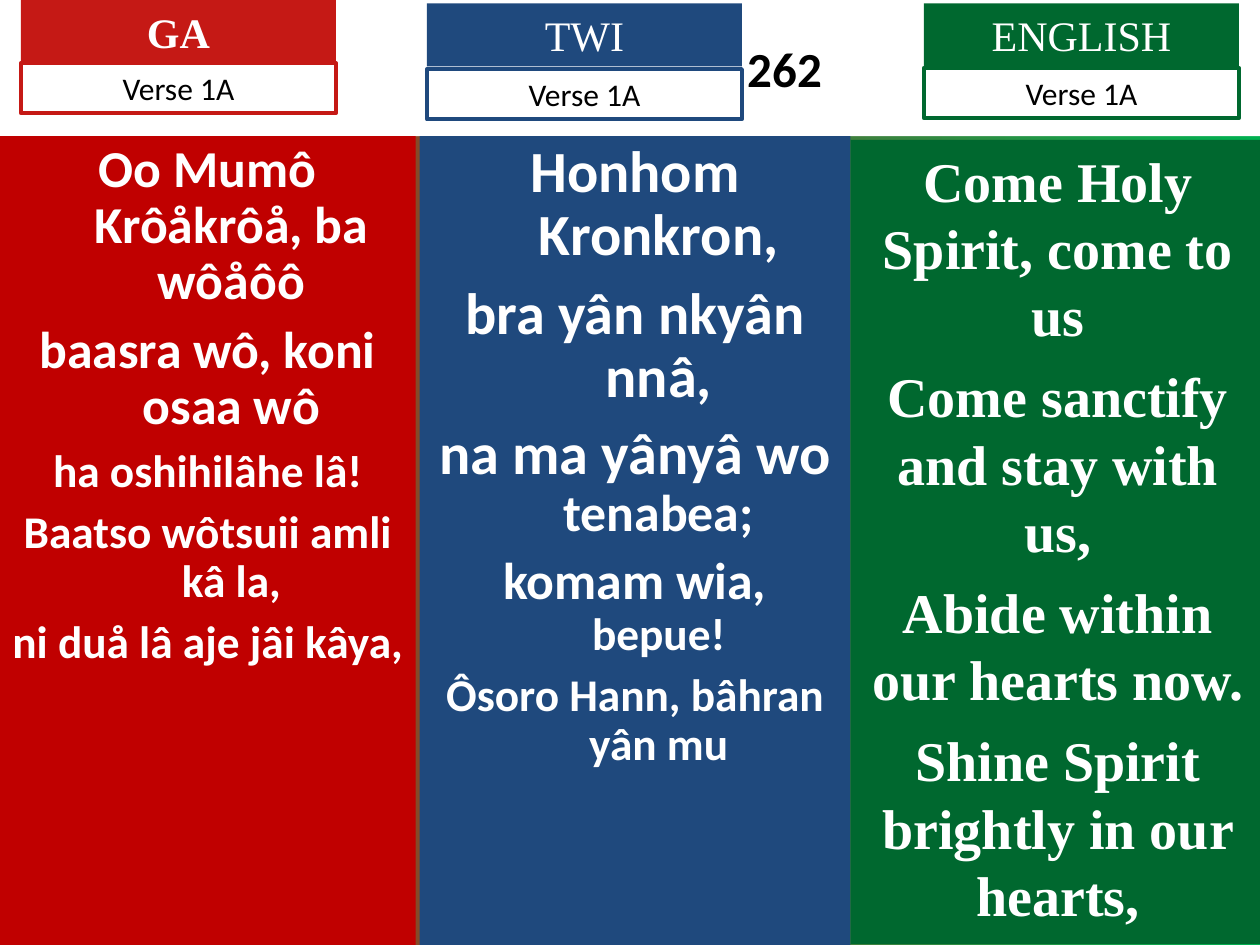
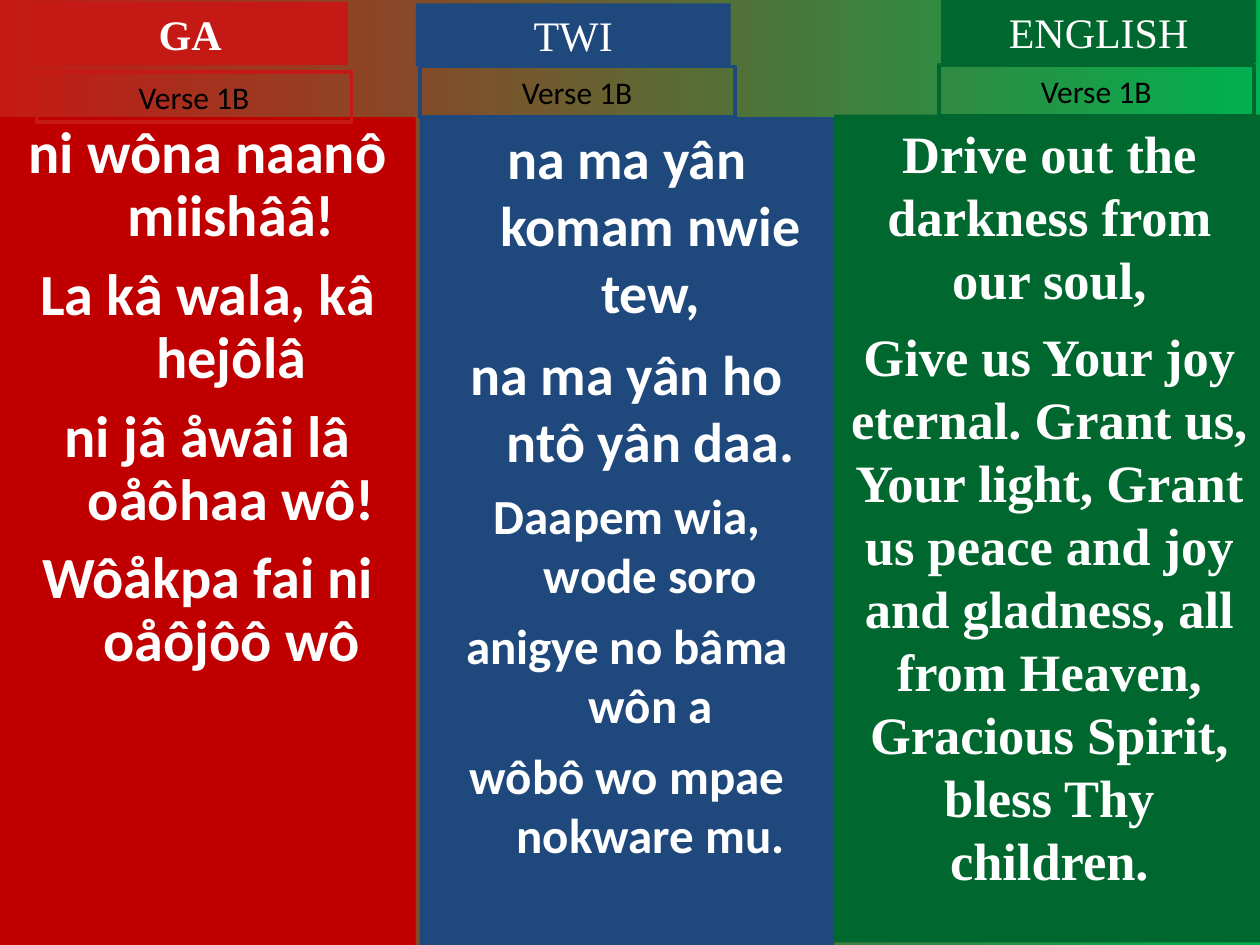
from dataclasses import dataclass
from math import ceil
from typing import Any

from pptx import Presentation
from pptx.dml.color import RGBColor
from pptx.enum.shapes import MSO_SHAPE as Kind
from pptx.enum.text import MSO_ANCHOR as Anchor, MSO_AUTO_SIZE as Fit, PP_ALIGN as Align
from pptx.util import Pt

# Shared look
RED, LYRIC_RED, BLUE, GREEN = "C51915", "C00000", "1F497D", "00682F"
LEAF, WHITE, BLACK = "00B050", "FFFFFF", "000000"
SANS, SERIF = "Calibri", "Times New Roman"
WIDE, TALL = 720, 540
TAG_W, HEAD_H, VERSE_H = 180, 36, 28.8
HANG = 27

Run = tuple[float, str]
Line = list[Run]


@dataclass
class Box:
    x: float
    y: float
    w: float
    h: float


@dataclass
class Tongue:
    name: str
    tint: str
    back: str
    font: str
    bold: bool = False
    hang: bool = True


@dataclass
class Column:
    tongue: Tongue
    panel: Box
    head: tuple[float, float]
    verse: tuple[float, float]
    lines: list[Line]
    space: float = 1.0


@dataclass
class Page:
    verse: str
    columns: list[Column]
    number: str = ""


GA = Tongue("GA", RED, LYRIC_RED, SANS, bold=True)
TWI = Tongue("TWI", BLUE, BLUE, SANS)
ENGLISH = Tongue("ENGLISH", GREEN, GREEN, SERIF, hang=False)


def same(size: float, *texts: str) -> list[Line]:
    """Lines that each hold one run of the same size."""
    return [[(size, text)] for text in texts]


PAGES = [
    Page("Verse 1A", [
        Column(GA, Box(0, 77.8, 237.6, 462.2), (12, 0), (12, 36),
               same(29.6, "Oo Mumô Krôåkrôå, ba wôåôô", "baasra wô, koni osaa wô")
               + same(25.9, "ha oshihilâhe lâ!", "Baatso wôtsuii amli kâ la,",
                      "ni duå lâ aje jâi kâya,"), 0.9),
        Column(TWI, Box(239.8, 77.8, 246.2, 462.2), (244, 2), (244, 39.5),
               same(33.3, "Honhom Kronkron,", "bra yân nkyân nnâ,")
               + [[(33.3, "na ma yânyâ wo "), (29.6, "tenabea;")],
                  [(29.6, "komam wia, "), (25.9, "bepue!")]]
               + same(25.9, "Ôsoro Hann, bâhran yân mu"), 0.9),
        Column(ENGLISH, Box(486, 80, 237, 459.4), (528, 2), (528, 38.8),
               same(32, "Come Holy Spirit, come to us",
                    "Come sanctify and stay with us,",
                    "Abide within our hearts now.",
                    "Shine Spirit brightly in our hearts,")),
    ], "262"),
    Page("Verse 1B", [
        Column(GA, Box(0, 67, 237.6, 473), (18.7, 1.3), (20.9, 41),
               same(33.3, "ni wôna naanô miishââ!", "La kâ wala, kâ hejôlâ",
                    "ni jâ åwâi lâ oåôhaa wô!", "Wôåkpa fai ni oåôjôô wô"), 0.9),
        Column(TWI, Box(239.8, 67, 236.9, 473), (237.6, 2), (239.8, 38),
               same(32, "na ma yân komam nwie tew,", "na ma yân ho ntô yân daa.")
               + same(28, "Daapem wia, wode soro", "anigye no bâma wôn a",
                      "wôbô wo mpae nokware mu.")),
        Column(ENGLISH, Box(476.6, 65.6, 246.2, 473), (537.8, 0), (536.4, 37.4),
               same(30, "Drive out the darkness from our soul,",
                    "Give us Your joy eternal. Grant us, Your light, Grant us peace "
                    "and joy and gladness, all from Heaven, Gracious Spirit, "
                    "bless Thy children.")),
    ]),
]


def color(code: str) -> RGBColor:
    return RGBColor.from_string(code)


def apply(item: Any, form: dict[str, Any]) -> None:
    for name, value in form.items():
        setattr(item, name, value)


def place(shape: Any, box: Box) -> None:
    apply(shape, dict(left=Pt(box.x), top=Pt(box.y), width=Pt(box.w), height=Pt(box.h)))


def paint(shape: Any, code: str) -> None:
    shape.fill.solid()
    shape.fill.fore_color.rgb = color(code)


def write(para: Any, text: str, size: float, font: str, tint: str, bold: bool) -> None:
    run = para.add_run()
    run.text = text
    apply(run.font, dict(size=Pt(size), name=font, bold=bold))
    run.font.color.rgb = color(tint)
    para.alignment = Align.CENTER


def add_rect(slide: Any, box: Box, fill: str = "", edge: str = "") -> Any:
    shape = slide.shapes.add_shape(Kind.RECTANGLE, Pt(box.x), Pt(box.y), Pt(box.w), Pt(box.h))
    shape.shadow.inherit = False
    if fill:
        paint(shape, fill)
    else:
        shape.fill.background()
    if edge:
        shape.line.color.rgb = color(edge)
        shape.line.width = Pt(2.25)
    else:
        shape.line.fill.background()
    apply(shape.text_frame, dict(word_wrap=True, vertical_anchor=Anchor.TOP))
    return shape


def add_panel(slide: Any, col: Column) -> None:
    frame = add_rect(slide, col.panel, col.tongue.back).text_frame
    for rank, line in enumerate(col.lines):
        para = frame.paragraphs[0] if rank == 0 else frame.add_paragraph()
        before = ceil(line[-1][0] / 4) if rank else 0
        apply(para, dict(line_spacing=col.space, space_before=Pt(before)))
        if col.tongue.hang:
            props = para._p.get_or_add_pPr()
            props.set("marL", str(Pt(HANG)))
            props.set("indent", str(-Pt(HANG)))
        for size, text in line:
            write(para, text, size, col.tongue.font, WHITE, True)


def add_tags(slide: Any, col: Column, verse: str) -> None:
    tongue = col.tongue
    head = add_rect(slide, Box(*col.head, TAG_W, HEAD_H), fill=tongue.tint)
    write(head.text_frame.paragraphs[0], tongue.name, 24, SERIF, WHITE, tongue.bold)
    label = add_rect(slide, Box(*col.verse, TAG_W, VERSE_H), edge=tongue.tint)
    write(label.text_frame.paragraphs[0], verse, 18, SANS, BLACK, False)
    for shape in (head, label):
        shape.text_frame.auto_size = Fit.SHAPE_TO_FIT_TEXT


def add_title(slide: Any, number: str) -> None:
    title = slide.shapes.title
    place(title, Box(0, 0, WIDE, 77.8))
    paint(title, WHITE)
    # The wide left inset sets the number to the right of the TWI tag
    apply(title.text_frame, dict(margin_left=Pt(184), vertical_anchor=Anchor.MIDDLE))
    write(title.text_frame.paragraphs[0], number, 28, SANS, BLACK, True)


def add_back(slide: Any) -> None:
    fill = slide.background.fill
    fill.gradient()
    fill.gradient_angle = 0
    for stop, code in zip(fill.gradient_stops, (RED, LEAF)):
        stop.color.rgb = color(code)


def main() -> None:
    deck = Presentation()
    apply(deck, dict(slide_width=Pt(WIDE), slide_height=Pt(TALL)))
    titled, blank = deck.slide_layouts[5], deck.slide_layouts[6]
    for page in PAGES:
        slide = deck.slides.add_slide(titled if page.number else blank)
        add_back(slide)
        if page.number:
            add_title(slide, page.number)
        for col in page.columns:
            add_panel(slide, col)
        for col in page.columns:
            add_tags(slide, col, page.verse)
    deck.save("out.pptx")


if __name__ == "__main__":
    main()
